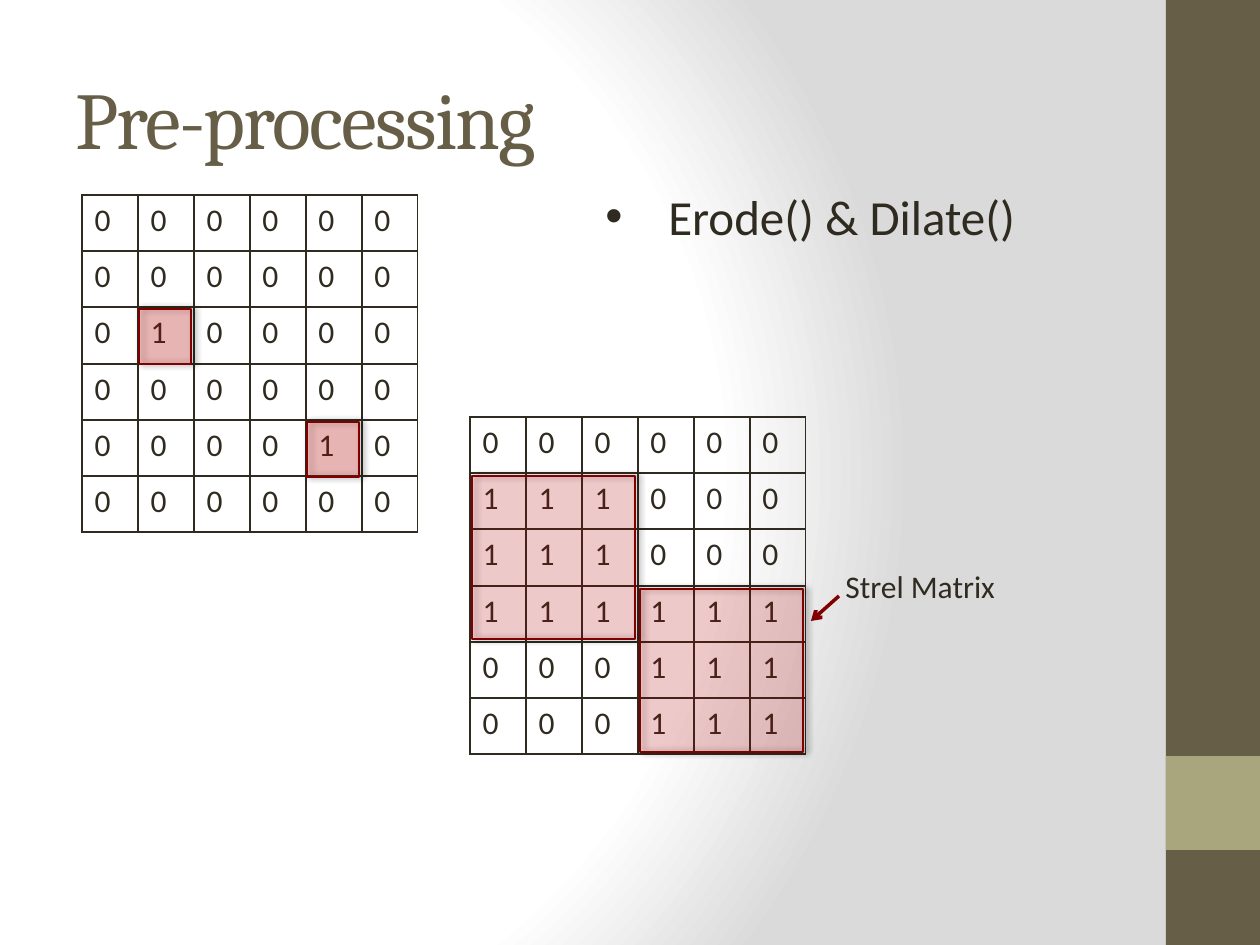
from lxml import etree
from pptx import Presentation
from pptx import util as u
from pptx.dml.color import RGBColor
from pptx.enum import shapes, text
from pptx.oxml import ns

SCALE = 914400 / 126  # EMU in one px
COLORS = {"ink": "2F2B20", "brown": "675E47", "olive": "A9A57C", "red": "FF0000",
          "maroon": "800000", "white": "FFFFFF", "grey": "DADADA", "black": "000000"}
TITLE = {"size": u.Pt(46), "name": "Cambria"}
BULLET = {"size": u.Pt(28), "name": "Calibri"}
BODY = {"size": u.Pt(18), "name": "Calibri"}
COLUMNS = [56] * 6
ROWS = [56, 56, 57, 56, 56, 56]
BEFORE = ["000000", "000000", "010000", "000000", "000010", "000000"]
AFTER = ["000000", "111000", "111000", "111111", "000111", "000111"]


def px(*lengths):
    return [u.Emu(round(length * SCALE)) for length in lengths]


def rgb(name):
    return RGBColor.from_string(COLORS[name])


def xml(source):
    head, tail = source.split(">", 1) if not source.endswith("/>") else (source[:-2], None)
    spaced = f'{head} xmlns:a="{ns.nsuri("a")}"'
    return etree.fromstring(spaced + ("/>" if tail is None else ">" + tail))


def color_xml(name, child=""):
    return f'<a:srgbClr val="{COLORS[name]}">{child}</a:srgbClr>'


def write(frame, words, style, color="ink"):
    para = frame.paragraphs[0]
    span = para.add_run()
    span.text = words
    for key, value in style.items():
        setattr(span.font, key, value)
    span.font.color.rgb = rgb(color)
    return para


def add_text(page, box, words, style, color="ink", wrap=True, anchor=text.MSO_ANCHOR.TOP):
    frame = page.shapes.add_textbox(*px(*box)).text_frame
    frame.word_wrap = wrap
    frame.vertical_anchor = anchor
    return write(frame, words, style, color)


def add_block(page, box, color):
    block = page.shapes.add_shape(shapes.MSO_SHAPE.RECTANGLE, *px(*box))
    block.shadow.inherit = False
    block.fill.solid()
    block.fill.fore_color.rgb = rgb(color)
    block.line.fill.background()
    return block


def add_background(page):
    # Radial gradient, white to grey
    page.background.fill.solid()
    solid = page.element.find(".//" + ns.qn("p:bgPr")).find(ns.qn("a:solidFill"))
    stops = "".join(f'<a:gs pos="{at * 1000}">{color_xml(name)}</a:gs>'
                    for at, name in ((0, "white"), (75, "white"), (100, "grey")))
    solid.getparent().replace(solid, xml(
        f'<a:gradFill rotWithShape="1"><a:gsLst>{stops}</a:gsLst><a:path path="circle">'
        '<a:fillToRect l="20000" t="50000" r="100000" b="50000"/></a:path></a:gradFill>'))


def add_sidebar(page, left, top, width, height):
    add_block(page, (left, top, width, height), "brown")
    add_block(page, (left, top + height * 4 // 5, width, width), "olive")


def add_matrix(page, left, top, values):
    table = page.shapes.add_table(
        len(ROWS), len(COLUMNS), *px(left, top, sum(COLUMNS), sum(ROWS))).table
    table.first_row = table.horz_banding = False
    for lines, sizes, key in ((table.columns, COLUMNS, "width"), (table.rows, ROWS, "height")):
        for line, size in zip(lines, sizes):
            setattr(line, key, px(size)[0])
    for row, digits in enumerate(values):
        for column, digit in enumerate(digits):
            cell = table.cell(row, column)
            write(cell.text_frame, digit, BODY)
            cell.fill.background()
            properties = cell._tc.get_or_add_tcPr()
            for index, side in enumerate(("lnL", "lnR", "lnT", "lnB")):
                properties.insert(index, xml(
                    f'<a:{side} w="12700"><a:solidFill>{color_xml("ink")}</a:solidFill></a:{side}>'))


def add_highlight(page, left, top, width, height, opacity):
    mark = add_block(page, (left, top, width, height), "red")
    mark.line.color.rgb = rgb("maroon")
    mark.line.width = u.Pt(1)
    properties = mark._element.spPr
    properties.find(".//" + ns.qn("a:srgbClr")).append(xml(f'<a:alpha val="{opacity * 1000}"/>'))
    shadow = color_xml("black", '<a:alpha val="60000"/>')
    properties.find(ns.qn("a:effectLst")).append(xml(
        f'<a:outerShdw blurRad="50800" dist="25400" dir="0" rotWithShape="0">{shadow}</a:outerShdw>'))


def add_before(page, left, top):
    # Matrix with two single seeds
    add_matrix(page, left, top, BEFORE)
    for column, row in ((1, 2), (4, 4)):
        add_highlight(page, left + sum(COLUMNS[:column]) + 1, top + sum(ROWS[:row]) + 2, 52, 55, 20)


def add_after(page, left, top):
    # Dilated matrix with its label and arrow
    add_matrix(page, left, top, AFTER)
    add_text(page, (left + 363, top + 144, 273, 50), "Strel Matrix", BODY)
    arrow = page.shapes.add_connector(
        shapes.MSO_CONNECTOR.STRAIGHT, *px(left + 369, top + 179, left + 341, top + 204))
    arrow.line.color.rgb = rgb("maroon")
    arrow.line.width = u.Pt(2)
    arrow.line._get_or_add_ln().append(xml('<a:tailEnd type="arrow"/>'))
    arrow._element.spPr.append(xml("<a:effectLst/>"))
    for column, row in ((0, 1), (3, 3)):
        add_highlight(page, left + sum(COLUMNS[:column]) + 2, top + sum(ROWS[:row]) + 3, 163, 163, 14)


def add_heading(page, left, top):
    title = add_text(page, (left, top, 1050, 158), "Pre-processing", TITLE, "brown",
                     anchor=text.MSO_ANCHOR.MIDDLE)
    title.runs[0].font._element.set("spc", "-100")
    point = add_text(page, (left + 530, top + 142, 438, 72), "Erode() & Dilate()", BULLET, wrap=False)
    properties = point._p.get_or_add_pPr()
    for key, value in {"marL": "457200", "indent": "-457200"}.items():
        properties.set(key, value)
    for bullet in ('<a:buFont typeface="Arial"/>', '<a:buChar char="•"/>'):
        properties.append(xml(bullet))


def main():
    deck = Presentation()
    deck.slide_width, deck.slide_height = px(1260, 945)
    page = deck.slides.add_slide(deck.slide_layouts[6])
    add_background(page)
    add_sidebar(page, 1166, 0, 94, 945)
    add_heading(page, 63, 38)
    add_before(page, 82, 195)
    add_after(page, 470, 417)
    deck.save("out.pptx")


if __name__ == "__main__":
    main()
